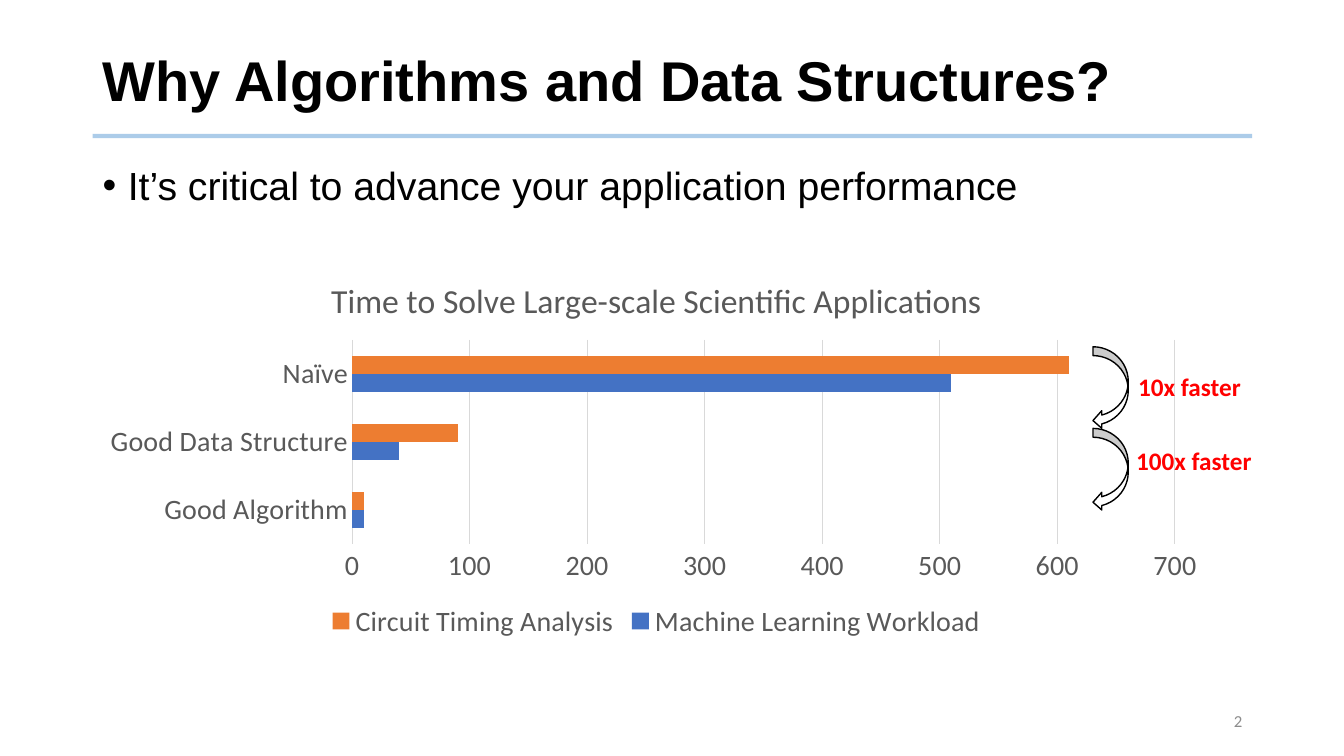
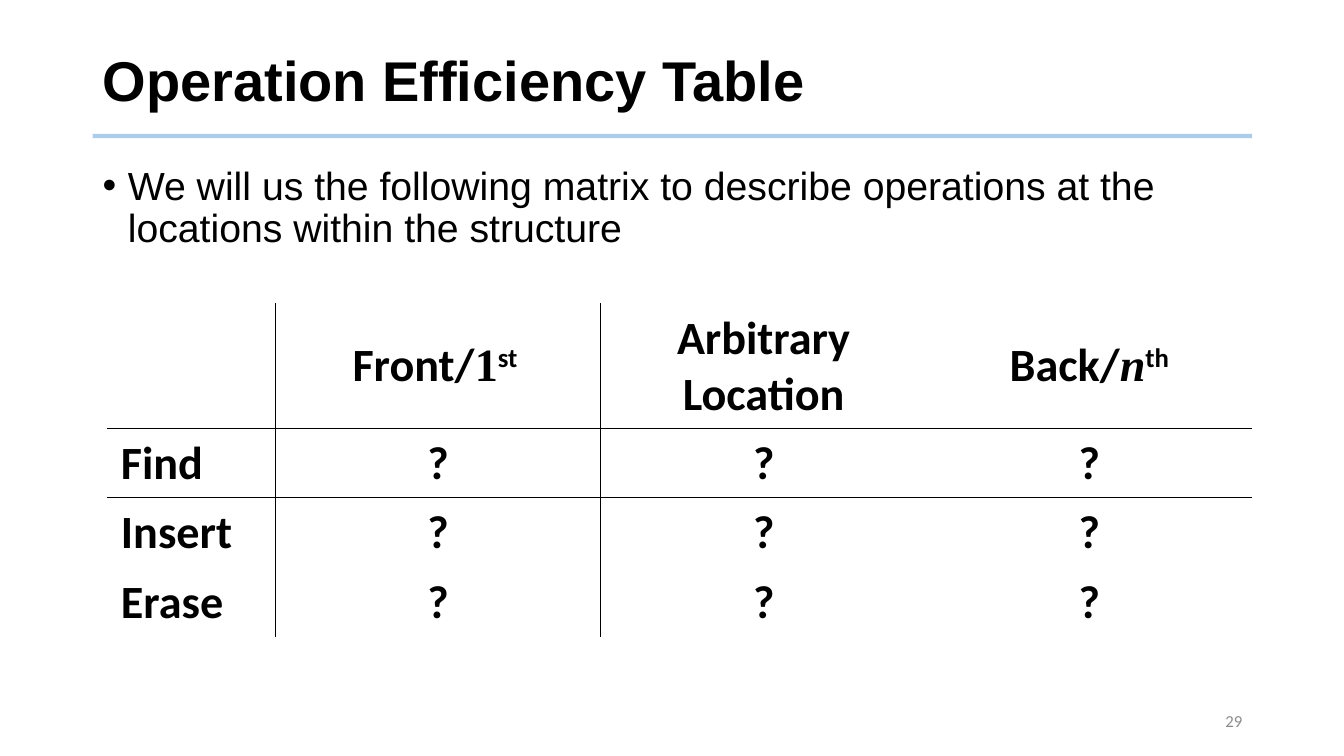
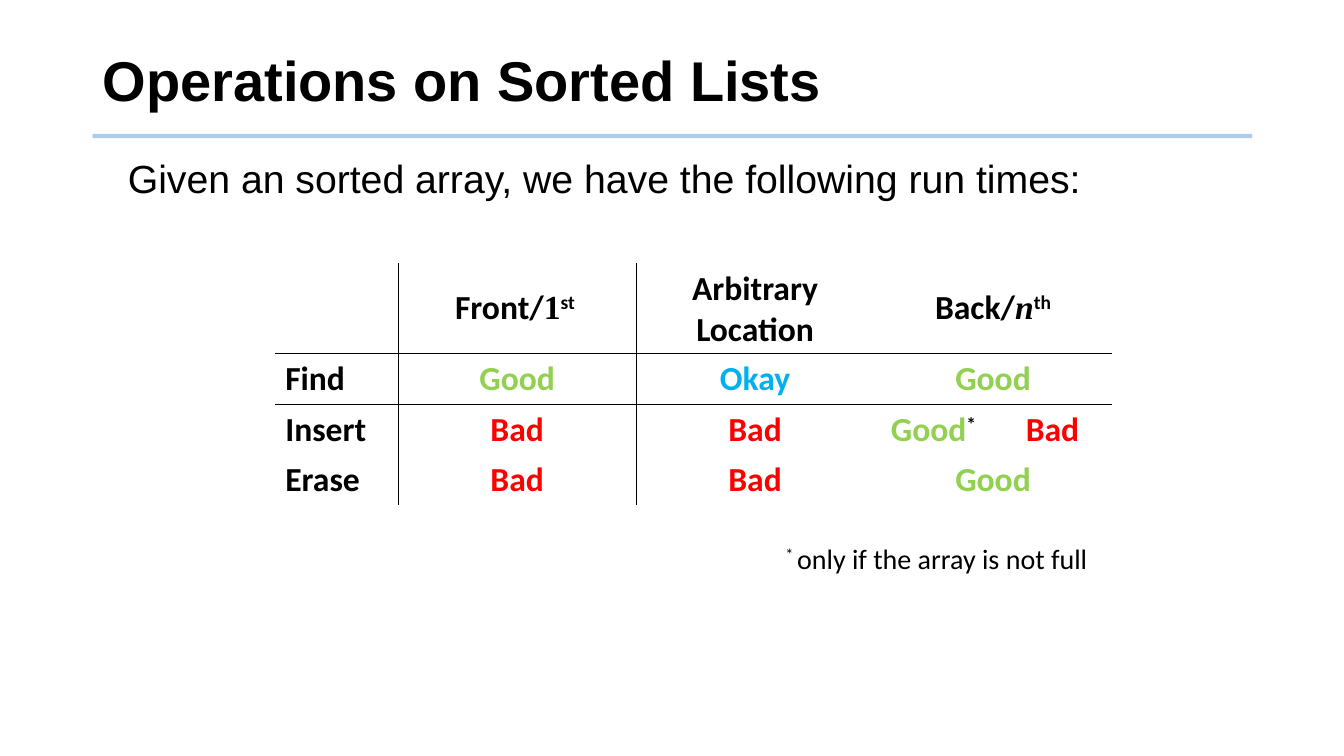
import pptx
import pptx.util
import pptx.dml.color
import pptx.chart.data
import pptx.enum.chart
import pptx.enum.shapes
import pptx.enum.text
import pptx.oxml
import pptx.oxml.ns
import lxml.etree

Inches = pptx.util.Inches
Pt = pptx.util.Pt
rgb = pptx.dml.color.RGBColor.from_string
qn = pptx.oxml.ns.qn
ALIGN = pptx.enum.text.PP_ALIGN
MIDDLE = pptx.enum.text.MSO_ANCHOR.MIDDLE

BLACK, RED, GREEN, BLUE = "000000", "FF0000", "92D050", "00B0F0"
GREY, GRID, RULE, FOOTER = "595959", "D9D9D9", "5B9BD5", "8C8C8C"
DRAWING = 'xmlns:a="http://schemas.openxmlformats.org/drawingml/2006/main"'
CHART = 'xmlns:c="http://schemas.openxmlformats.org/drawingml/2006/chart"'


def add_run(paragraph, text, size, color=BLACK, font="Calibri", bold=False, italic=False, raised=False):
    run = paragraph.add_run()
    run.text = text
    run.font.size = Pt(size)
    run.font.name = font
    run.font.bold = bold
    run.font.italic = italic
    run.font.color.rgb = rgb(color)
    if raised:
        run._r.get_or_add_rPr().set("baseline", "30000")


def add_box(slide, left, top, width, height, anchor=pptx.enum.text.MSO_ANCHOR.TOP):
    frame = slide.shapes.add_textbox(Inches(left), Inches(top), Inches(width), Inches(height)).text_frame
    frame.word_wrap = True
    frame.vertical_anchor = anchor
    return frame.paragraphs[0]


deck = pptx.Presentation()
deck.slide_width = Inches(13.33)
deck.slide_height = Inches(7.5)

pages = [
    ("Why Algorithms and Data Structures?", "It’s critical to advance your application performance", True, 1.6, "2"),
    ("Operation Efficiency Table",
     "We will us the following matrix to describe operations at the locations within the structure", True, 1.6, "29"),
    ("Operations on Sorted Lists", "Given an sorted array, we have the following run times:", False, 1.53, None),
]
slides = []
for heading, statement, bulleted, body_top, number in pages:
    slide = deck.slides.add_slide(deck.slide_layouts[6])
    slides.append(slide)

    rule = slide.shapes.add_connector(
        pptx.enum.shapes.MSO_CONNECTOR.STRAIGHT, Inches(0.92), Inches(1.35), Inches(12.42), Inches(1.35))
    rule.line.color.rgb = rgb(RULE)
    rule.line.width = Pt(3)
    tint = rule._element.spPr.find(".//" + qn("a:srgbClr"))
    lxml.etree.SubElement(tint, qn("a:alpha")).set("val", "50000")
    lxml.etree.SubElement(rule._element.spPr, qn("a:effectLst"))

    title = add_box(slide, 0.92, 0.28, 11.5, 1.1, MIDDLE)
    title.line_spacing = 0.9
    add_run(title, heading, 40, font="Arial", bold=True)

    body = add_box(slide, 0.92, body_top, 11.5, 1.1)
    body.line_spacing = 0.9
    indents = body._p.get_or_add_pPr()
    indents.set("marL", str(Inches(0.25)))
    if bulleted:
        indents.set("indent", str(-Inches(0.25)))
        lxml.etree.SubElement(indents, qn("a:buFont")).set("typeface", "Arial")
        lxml.etree.SubElement(indents, qn("a:buChar")).set("char", "•")
    add_run(body, statement, 28, font="Arial")

    if number:
        footer = add_box(slide, 9.42, 6.95, 3, 0.4, MIDDLE)
        footer.alignment = ALIGN.RIGHT
        add_run(footer, number, 12, FOOTER)

reasons, efficiency, sorted_lists = slides

timings = pptx.chart.data.CategoryChartData()
timings.categories = ["Good Algorithm", "Good Data Structure", "Naïve"]
timings.add_series("Machine Learning Workload", [10, 40, 510])
timings.add_series("Circuit Timing Analysis", [10, 90, 610])
chart = reasons.shapes.add_chart(
    pptx.enum.chart.XL_CHART_TYPE.BAR_CLUSTERED,
    Inches(0.92), Inches(2.57), Inches(11.18), Inches(3.82), timings).chart
chart.font.name = "Calibri"
chart.font.size = Pt(20)
chart.font.color.rgb = rgb(GREY)
chart.has_title = True
add_run(chart.chart_title.text_frame.paragraphs[0], "Time to Solve Large-scale Scientific Applications", 24, GREY)
chart.has_legend = True
chart.legend.position = pptx.enum.chart.XL_LEGEND_POSITION.BOTTOM
chart.legend.include_in_layout = False
chart.plots[0].gap_width = 182
chart.plots[0].vary_by_categories = False
for series, color in zip(chart.plots[0].series, ["4472C4", "ED7D31"]):
    series.format.fill.solid()
    series.format.fill.fore_color.rgb = rgb(color)
for axis in (chart.category_axis, chart.value_axis):
    axis.major_tick_mark = pptx.enum.chart.XL_TICK_MARK.NONE
    axis.minor_tick_mark = pptx.enum.chart.XL_TICK_MARK.NONE
chart.category_axis.has_major_gridlines = False
chart.category_axis.format.line.color.rgb = rgb(GRID)
chart.category_axis.format.line.width = Pt(0.75)
chart.value_axis.minimum_scale = 0
chart.value_axis.maximum_scale = 700
chart.value_axis.major_unit = 100
chart.value_axis.format.line.fill.background()
chart.value_axis.major_gridlines.format.line.color.rgb = rgb(GRID)
chart.value_axis.major_gridlines.format.line.width = Pt(0.75)
plot_area = chart._chartSpace.find(".//" + qn("c:plotArea"))
for automatic in plot_area.findall(qn("c:layout")):
    plot_area.remove(automatic)
plot_area.insert(0, pptx.oxml.parse_xml(
    f'<c:layout {CHART}><c:manualLayout><c:layoutTarget val="inner"/>'
    '<c:xMode val="edge"/><c:yMode val="edge"/><c:x val="0.23"/><c:y val="0.21"/>'
    '<c:w val="0.73"/><c:h val="0.53"/></c:manualLayout></c:layout>'))

speedups = [("10x faster", 3.44, 11.19, 3.63), ("100x faster", 4.25, 11.17, 4.37)]
for speedup, arrow_top, label_left, label_top in speedups:
    arrow = reasons.shapes.add_shape(
        pptx.enum.shapes.MSO_SHAPE.CURVED_LEFT_ARROW,
        Inches(10.84), Inches(arrow_top), Inches(0.35), Inches(0.82))
    arrow.shadow.inherit = False
    arrow.fill.solid()
    arrow.fill.fore_color.rgb = rgb("FFFFFF")
    arrow.line.color.rgb = rgb(BLACK)
    arrow.line.width = Pt(1)
    add_run(add_box(reasons, label_left, label_top, 1.45, 0.4), speedup, 18, RED, bold=True)

plain, serif, variable, raised = {}, {"font": "Times New Roman"}, {"font": "Times New Roman", "italic": True}, {"raised": True}
header = [
    [],
    [[("Front/", plain), ("1", serif), ("st ", raised)]],
    [[("Arbitrary", plain)], [("Location", plain)]],
    [[("Back/", plain), ("n", variable), ("th", raised)]],
]
good, okay, bad = [[[("Good", {"color": GREEN})]], [[("Okay", {"color": BLUE})]], [[("Bad", {"color": RED})]]]
good_if_room = [[("Good", {"color": GREEN}), ("*", raised)]]
unknown = [[("?", plain)]]
find, insert, erase = [[[(name, plain)]] for name in ("Find", "Insert", "Erase")]

matrices = [
    (efficiency, 1.06, 3.01, [1.67, 3.23, 3.23, 3.23], [1.23, 0.69, 0.69, 0.69], 33, (0.14, 0.07), [],
     [header] + [[name] + [unknown] * 3 for name in (find, insert, erase)]),
    (sorted_lists, 2.73, 2.61, [1.22, 2.36, 2.36, 1.18, 1.18], [0.86, 0.5, 0.5, 0.5], 24, (0.1, 0.05), [0, 1, 3],
     [header + [[]], [find, good, okay, good, []], [insert, bad, bad, good_if_room, bad], [erase, bad, bad, good, []]]),
]
for slide, left, top, widths, heights, size, (side_inset, end_inset), merged_rows, rows in matrices:
    table = slide.shapes.add_table(
        len(heights), len(widths), Inches(left), Inches(top), Inches(sum(widths)), Inches(sum(heights))).table
    table._tbl.tblPr.find(qn("a:tableStyleId")).text = "{2D5ABB26-0587-4C30-8999-92F81FD0307C}"
    table.first_row = False
    table.horz_banding = False
    for column, width in zip(table.columns, widths):
        column.width = Inches(width)
    for row, height in zip(table.rows, heights):
        row.height = Inches(height)
    for r in merged_rows:
        table.cell(r, 3).merge(table.cell(r, 4))
    for r, row in enumerate(rows):
        for c, lines in enumerate(row):
            cell = table.cell(r, c)
            cell.margin_left = cell.margin_right = Inches(side_inset)
            cell.margin_top = cell.margin_bottom = Inches(end_inset)
            if r == 0:
                cell.vertical_anchor = MIDDLE
            for edge, ruled in (("lnR", c < 2), ("lnB", r < 2)):
                if ruled:
                    cell._tc.get_or_add_tcPr().append(pptx.oxml.parse_xml(
                        f'<a:{edge} {DRAWING} w="12700"><a:solidFill><a:srgbClr val="{BLACK}"/></a:solidFill></a:{edge}>'))
            cell.fill.background()
            for i, line in enumerate(lines):
                paragraph = cell.text_frame.add_paragraph() if i else cell.text_frame.paragraphs[0]
                paragraph.alignment = ALIGN.CENTER if c else ALIGN.LEFT
                for text, style in line:
                    add_run(paragraph, text, size, bold=True, **style)

footnote = add_box(sorted_lists, 7.69, 5.32, 3.62, 0.44)
add_run(footnote, "* ", 20, raised=True)
add_run(footnote, "only if the array is not full", 20)

deck.save("out.pptx")
